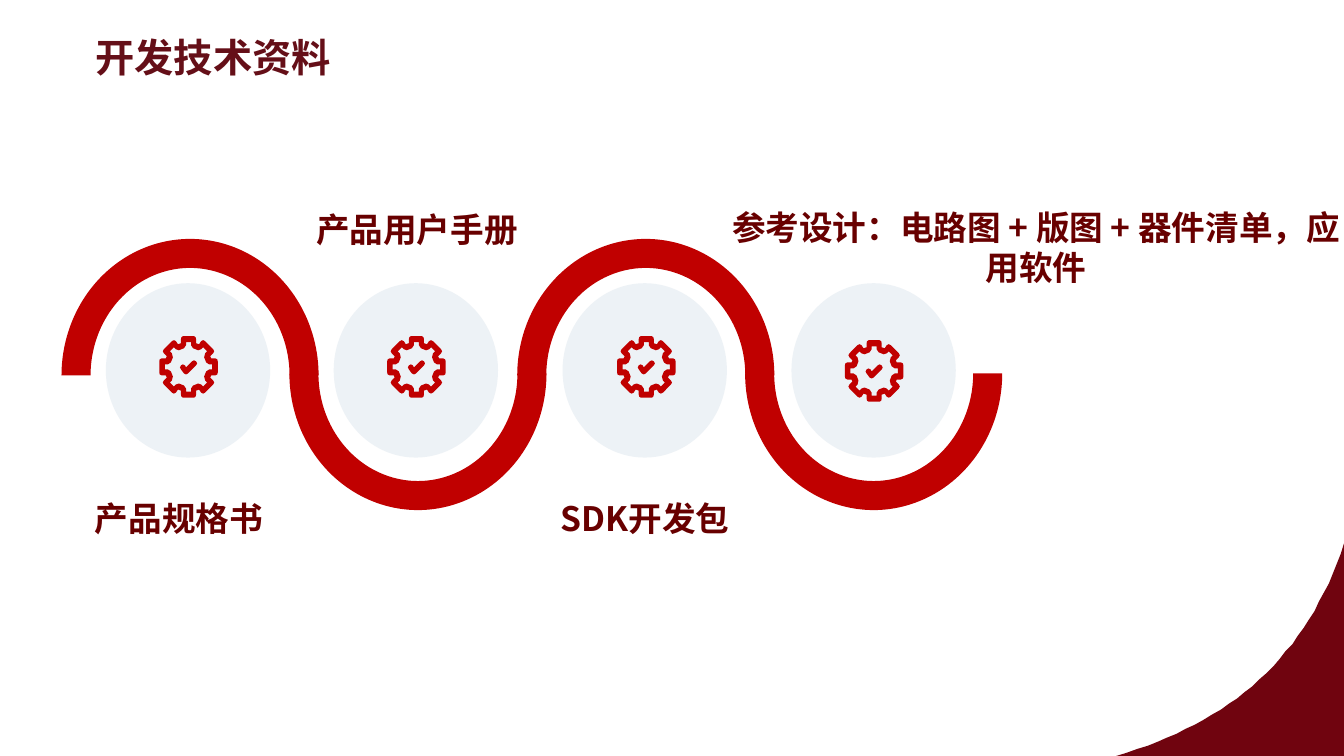
from lxml import etree
from pptx import Presentation
from pptx.dml.color import RGBColor
from pptx.enum.shapes import MSO_SHAPE
from pptx.enum.text import MSO_AUTO_SIZE, PP_ALIGN
from pptx.oxml.ns import qn
from pptx.util import Pt

PX = 9144  # EMU per px, 100 px to the inch
ARC, OVAL = MSO_SHAPE.BLOCK_ARC, MSO_SHAPE.OVAL
LEFT, CENTER = PP_ALIGN.LEFT, PP_ALIGN.CENTER
GROW = MSO_AUTO_SIZE.SHAPE_TO_FIT_TEXT

RED, DARK_RED, MAROON = "C00000", "680000", "70040F"
TITLE_COLOR, PALE_BLUE = "650F18", "A7BFD2"
TITLE_FONT, LABEL_FONT = "Noto Sans CJK JP", "Noto Sans CJK SC"

# Upper right quarter of the gear around its centre, in half px
GEAR_OUTER = [(11, -61), (14, -59), (15, -55), (15, -47), (21, -45),
              (25, -51), (29, -53), (33, -51), (49, -35), (51, -31),
              (49, -27), (43, -21), (45, -17), (53, -17), (57, -15), (58, -11)]
GEAR_INNER = [(5, -49), (5, -43), (9, -37), (19, -33), (25, -35), (29, -39),
              (37, -31), (33, -27), (31, -19), (35, -9), (41, -5), (47, -5)]
CHECK = [(11, -13), (15, -11), (17, -7), (15, -3), (-1, 13), (-5, 15),
         (-9, 13), (-15, 5), (-17, 1), (-15, -3), (-11, -5), (-7, -3),
         (-5, 1), (7, -11)]

GEAR_CENTERS = [(187, 364), (413, 364), (641, 364), (867, 368)]
LABELS = [
    ("产品规格书", (-12, 489, 379, 50)),
    ("SDK开发包", (450, 489, 379, 50)),
    ("产品用户手册", (224, 202, 379, 50)),
    ("参考设计：电路图 + 版图 + 器件清单，应用软件", (710, 200, 635, 91)),
]


def rgb(color):
    return RGBColor.from_string(color)


def paint(sp, color, alpha=None):
    sp.shadow.inherit = False
    sp.fill.solid()
    sp.fill.fore_color.rgb = rgb(color)
    sp.line.fill.background()
    if alpha is not None:
        srgb = sp.fill._xPr.find(".//" + qn("a:srgbClr"))
        etree.SubElement(srgb, qn("a:alpha")).set("val", str(alpha * 1000))


def add_preset(shapes, kind, box, color, alpha=None):
    sp = shapes.add_shape(kind, *(v * PX for v in box))
    paint(sp, color, alpha)
    return sp


def add_outline(shapes, contours, color, scale=PX, origin=(0, 0)):
    builder = shapes.build_freeform(*contours[0][0], scale=scale)
    builder.add_line_segments(contours[0][1:], close=True)
    for contour in contours[1:]:
        builder.move_to(*contour[0])
        builder.add_line_segments(contour[1:], close=True)
    paint(builder.convert_to_shape(*(v * PX for v in origin)), color)


def add_text(shapes, text, box, size, font, color, align):
    tf = shapes.add_textbox(*(v * PX for v in box)).text_frame
    tf.word_wrap = True
    tf.auto_size = GROW
    tf.text = text
    p = tf.paragraphs[0]
    p.alignment = align
    r = p.runs[0]
    r.font.size = Pt(size)
    r.font.bold = True
    r.font.name = font
    r.font.color.rgb = rgb(color)
    etree.SubElement(r._r.get_or_add_rPr(), qn("a:ea")).set("typeface", font)


def mirror_quarter(quarter):
    back = quarter[::-1]
    return (quarter + [(x, -y) for x, y in back]
            + [(-x, -y) for x, y in quarter] + [(-x, y) for x, y in back])


def bezier(a, b, c, d, steps=32):
    points = []
    for i in range(steps + 1):
        t = i / steps
        u = 1 - t
        points.append(tuple(
            round(u**3 * a[k] + 3 * u * u * t * b[k] + 3 * u * t * t * c[k] + t**3 * d[k])
            for k in (0, 1)))
    return points


def add_wave(shapes):
    for i in range(4):
        lower = i % 2
        arc = add_preset(shapes, ARC, (61 + 226 * i, 237 - 2 * lower, 255, 271), RED)
        for k, value in enumerate((108, 0, 0.113)):
            arc.adjustments[k] = value
        arc.rotation = 180 * lower


def add_icons(shapes):
    for i in range(4):
        add_preset(shapes, OVAL, (105 + 680 * i // 3, 281, 163, 173), PALE_BLUE, 20)
    gear = [CHECK, mirror_quarter(GEAR_INNER), mirror_quarter(GEAR_OUTER)]
    for center in GEAR_CENTERS:
        add_outline(shapes, gear, RED, PX / 2, center)


def main():
    prs = Presentation()
    prs.slide_width, prs.slide_height = 1333 * PX, 750 * PX
    slide = prs.slides.add_slide(prs.slide_layouts[6])

    # Title and corner
    add_text(slide.shapes, "开发技术资料", (85, 28, 628, 57), 28,
             TITLE_FONT, TITLE_COLOR, LEFT)
    edge = bezier((1333, 539), (1297, 651), (1220, 717), (1107, 750))
    add_outline(slide.shapes, [[(1333, 750)] + edge], MAROON)

    # Wave of four steps with labels
    steps = slide.shapes.add_group_shape().shapes
    add_wave(steps)
    add_icons(steps)
    for text, box in LABELS:
        add_text(steps, text, box, 24, LABEL_FONT, DARK_RED, CENTER)

    prs.save("out.pptx")


if __name__ == "__main__":
    main()
